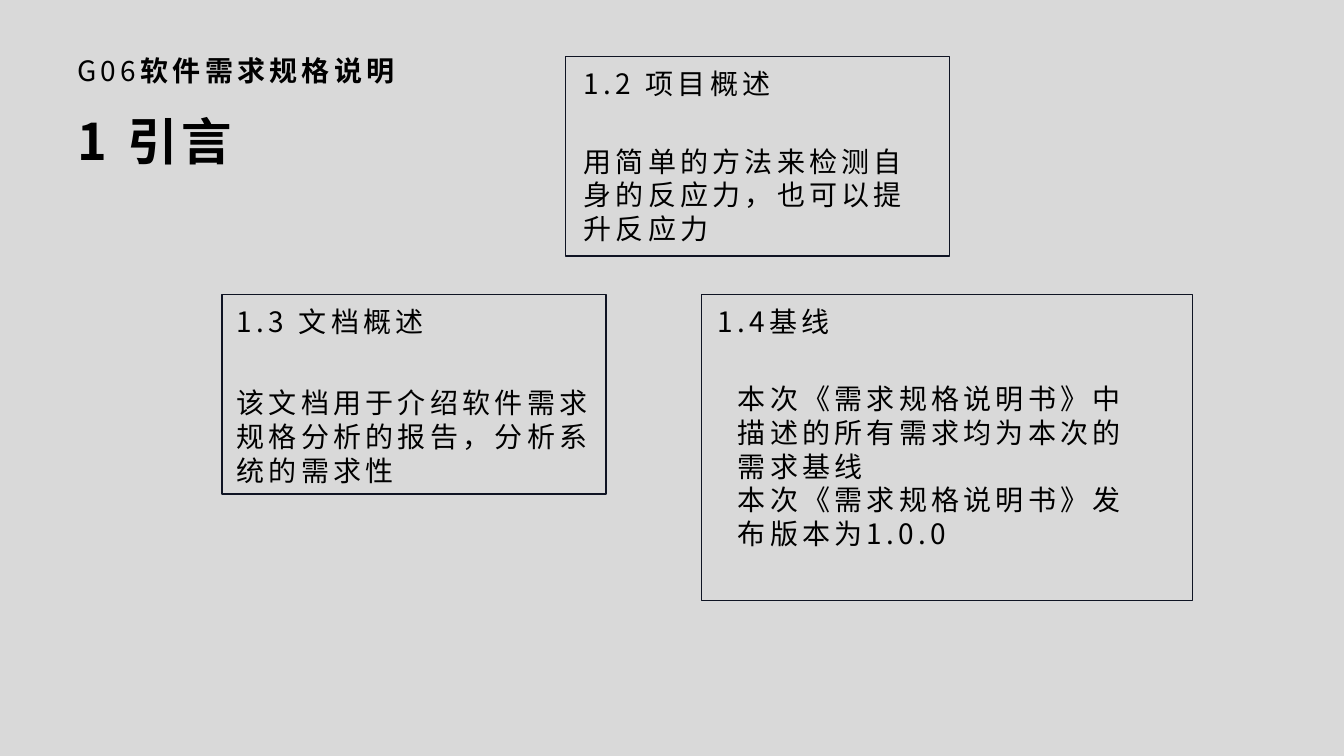
from dataclasses import dataclass

from pptx import Presentation
from pptx.dml.color import RGBColor
from pptx.enum.shapes import MSO_SHAPE
from pptx.util import Inches, Pt


@dataclass(frozen=True)
class Theme:
    """Colours, font and type sizes of the slide."""
    background: RGBColor = RGBColor(0xD9, 0xD9, 0xD9)
    text: RGBColor = RGBColor(0, 0, 0)
    frame: RGBColor = RGBColor(0x0F, 0x14, 0x23)
    font: str = "Noto Sans CJK SC"
    body: int = 20
    title: int = 36
    spacing: int = 3
    frame_width: int = 1


THEME = Theme()


def add_run(paragraph, text, size, bold):
    """Add one letter-spaced run in the theme font."""
    run = paragraph.add_run()
    run.text = text
    font = run.font
    font.name, font.size, font.bold = THEME.font, Pt(size), bold
    font.color.rgb = THEME.text
    properties = font._element
    properties.set("spc", str(THEME.spacing * 100))
    latin = properties.find("{*}latin")
    east_asian = latin.makeelement(latin.tag.replace("latin", "ea"),
                                   {"typeface": THEME.font})
    latin.addnext(east_asian)


def add_text(slide, box, paragraphs, size=THEME.body):
    """Add a text box; each paragraph is a list of (text, bold) runs."""
    frame = slide.shapes.add_textbox(*map(Inches, box)).text_frame
    frame.word_wrap = True
    for index, runs in enumerate(paragraphs):
        paragraph = frame.add_paragraph() if index else frame.paragraphs[0]
        for text, bold in runs:
            add_run(paragraph, text, size, bold)


def add_frame(slide, box):
    """Add an unfilled rectangle with a thin dark outline."""
    shape = slide.shapes.add_shape(MSO_SHAPE.RECTANGLE, *map(Inches, box))
    shape.shadow.inherit = False
    shape.fill.background()
    shape.line.color.rgb = THEME.frame
    shape.line.width = Pt(THEME.frame_width)


def add_section(slide, frame_box, heading_at, heading, body_box, body):
    """Add a framed section with a heading and body paragraphs."""
    add_frame(slide, frame_box)
    add_text(slide, (*heading_at, 2.19, 0.44), [[(heading, False)]])
    add_text(slide, body_box, [[(text, False)] for text in body])


def main():
    """Build the introduction slide and save it."""
    deck = Presentation()
    deck.slide_width, deck.slide_height = Inches(13.33), Inches(7.5)
    slide = deck.slides.add_slide(deck.slide_layouts[6])
    slide.background.fill.solid()
    slide.background.fill.fore_color.rgb = THEME.background

    add_text(slide, (0.67, 0.48, 3.38, 0.44),
             [[("G06", False), ("软件需求规格说明", True)]])
    add_text(slide, (0.67, 1.04, 3.38, 0.71), [[("1 引言", True)]], THEME.title)

    sections = [
        ((5.61, 0.56, 3.81, 1.98), (5.69, 0.61), "1.2 项目概述",
         (5.69, 1.38, 3.65, 1.17),
         ["用简单的方法来检测自身的反应力，也可以提升反应力"]),
        ((6.96, 2.92, 4.87, 3.04), (7.02, 2.97), "1.4基线",
         (7.22, 3.74, 4.13, 1.98),
         ["本次《需求规格说明书》中描述的所有需求均为本次的需求基线",
          "本次《需求规格说明书》发布版本为1.0.0"]),
        ((2.2, 2.92, 3.81, 1.98), (2.25, 2.97), "1.3 文档概述",
         (2.25, 3.78, 3.76, 1.14),
         ["该文档用于介绍软件需求规格分析的报告，分析系统的需求性"]),
    ]
    for section in sections:
        add_section(slide, *section)
    deck.save("out.pptx")


main()
